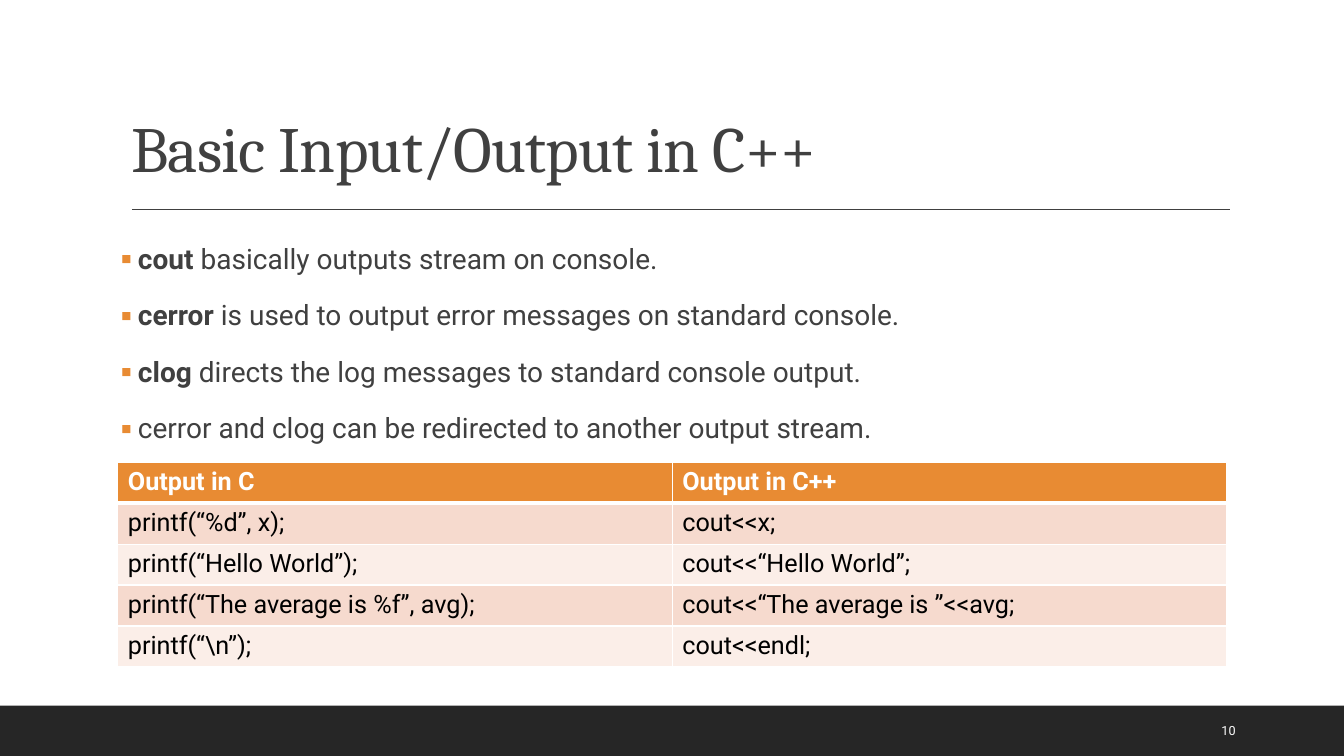
from lxml.etree import SubElement
from pptx import Presentation
from pptx.dml.color import RGBColor
from pptx.enum.shapes import MSO_CONNECTOR, MSO_SHAPE
from pptx.enum.text import MSO_ANCHOR, MSO_AUTO_SIZE
from pptx.oxml import parse_xml
from pptx.oxml.ns import nsdecls, qn
from pptx.util import Pt

WHITE = RGBColor(0xFF, 0xFF, 0xFF)
BLACK = RGBColor(0, 0, 0)
GREY = RGBColor(0x40, 0x40, 0x40)
DARK = RGBColor(0x26, 0x26, 0x26)
ORANGE = RGBColor(0xE8, 0x8B, 0x33)
BANDS = RGBColor(0xF6, 0xDA, 0xCE), RGBColor(0xFB, 0xEE, 0xE8)

POINTS = [
    ("cout", " basically outputs stream on console."),
    ("cerror", " is used to output error messages on standard console."),
    ("clog", " directs the log messages to standard console output."),
    ("", "cerror and clog can be redirected to another output stream."),
]
ROWS = [
    ("Output in C", "Output in C++"),
    ("printf(“%d”, x);", "cout<<x;"),
    ("printf(“Hello World”);", "cout<<“Hello World”;"),
    ("printf(“The average is %f”, avg);", "cout<<“The average is ”<<avg;"),
    ("printf(“\\n”);", "cout<<endl;"),
]


def write(para, text, size=18, color=GREY, bold=False, face="Roboto", track=0):
    """Add a run; track is the letter spacing in points."""
    run = para.add_run()
    run.text = text
    font = run.font
    font.size, font.bold, font.name = Pt(size), bold, face
    font.color.rgb = color
    if track:
        run._r.get_or_add_rPr().set("spc", str(round(track * 100)))


def mark(para, indent):
    """Give a paragraph a hanging orange square bullet."""
    props = para._p.get_or_add_pPr()
    props.set("marL", str(Pt(indent)))
    props.set("indent", str(-Pt(indent)))
    SubElement(SubElement(props, qn("a:buClr")), qn("a:srgbClr"), val=str(ORANGE))
    SubElement(props, qn("a:buFont"), typeface="Roboto")
    SubElement(props, qn("a:buChar"), char="▪")


def edge(cell, **widths):
    """Draw white cell borders; widths are in points by side L, R, T, B."""
    props = cell._tc.get_or_add_tcPr()
    for spot, (side, width) in enumerate(widths.items()):
        props.insert(spot, parse_xml(
            f'<a:ln{side} {nsdecls("a")} w="{Pt(width)}"><a:solidFill>'
            f'<a:srgbClr val="{WHITE}"/></a:solidFill></a:ln{side}>'))


class Page:
    def __init__(self, deck):
        self.slide = deck.slides.add_slide(deck.slide_layouts[5])
        self.shapes = self.slide.shapes

    def bar(self, left, top, width, height):
        box = self.shapes.add_shape(
            MSO_SHAPE.RECTANGLE, Pt(left), Pt(top), Pt(width), Pt(height))
        box.shadow.inherit = False
        box.fill.solid()
        box.fill.fore_color.rgb = DARK
        box.line.fill.background()

    def rule(self, left, right, top):
        line = self.shapes.add_connector(
            MSO_CONNECTOR.STRAIGHT, Pt(left), Pt(top), Pt(right), Pt(top))
        line.line.color.rgb = GREY
        line.line.width = Pt(1)
        SubElement(line._element.spPr, qn("a:effectLst"))

    def title(self, text, left, top, width, height):
        box = self.shapes.title
        box.left, box.top, box.width, box.height = map(Pt, (left, top, width, height))
        frame = box.text_frame
        frame.auto_size = MSO_AUTO_SIZE.NONE
        frame.vertical_anchor = MSO_ANCHOR.BOTTOM
        para = frame.paragraphs[0]
        para.alignment = 1
        para.line_spacing = 0.9
        write(para, text, size=46, face="Cambria", track=-0.5)

    def text(self, left, top, width, height):
        box = self.shapes.add_textbox(Pt(left), Pt(top), Pt(width), Pt(height))
        box.text_frame.word_wrap = True
        return box.text_frame

    def list(self, points, *place):
        frame = self.text(*place)
        frame.margin_left = frame.margin_right = 0
        for num, (term, rest) in enumerate(points):
            para = frame.add_paragraph() if num else frame.paragraphs[0]
            mark(para, 12.2)
            para.line_spacing = 1.1
            para.space_before = Pt(12 if num else 0)
            para.space_after = Pt(2)
            if term:
                write(para, term, size=20, bold=True)
            write(para, rest, size=20)

    def table(self, rows, left, top, width, height):
        grid = self.shapes.add_table(
            len(rows), len(rows[0]), Pt(left), Pt(top), Pt(width), Pt(height)).table
        for y, row in enumerate(rows):
            head = y == 0
            for x, text in enumerate(row):
                cell = grid.cell(y, x)
                cell.fill.solid()
                cell.fill.fore_color.rgb = ORANGE if head else BANDS[(y - 1) % 2]
                edge(cell, L=1, R=1, T=3 if y == 1 else 1, B=3 if head else 1)
                write(cell.text_frame.paragraphs[0], text,
                      color=WHITE if head else BLACK, bold=head)

    def number(self, text, *place):
        frame = self.text(*place)
        frame.vertical_anchor = MSO_ANCHOR.MIDDLE
        write(frame.paragraphs[0], text, size=9, color=WHITE)


def main():
    deck = Presentation()
    deck.slide_width, deck.slide_height = Pt(960), Pt(540)
    page = Page(deck)
    page.bar(0, 504, 960, 36)
    page.rule(94.3, 878.8, 149.5)
    page.title("Basic Input/Output in C++", 86.4, 22.6, 792, 114.2)
    page.table(ROWS, 84.2, 330.3, 792, 146)
    page.list(POINTS, 86.4, 166.3, 792, 296)
    page.number("10", 865.4, 507.6, 61.2, 28.8)
    deck.save("out.pptx")


if __name__ == "__main__":
    main()
